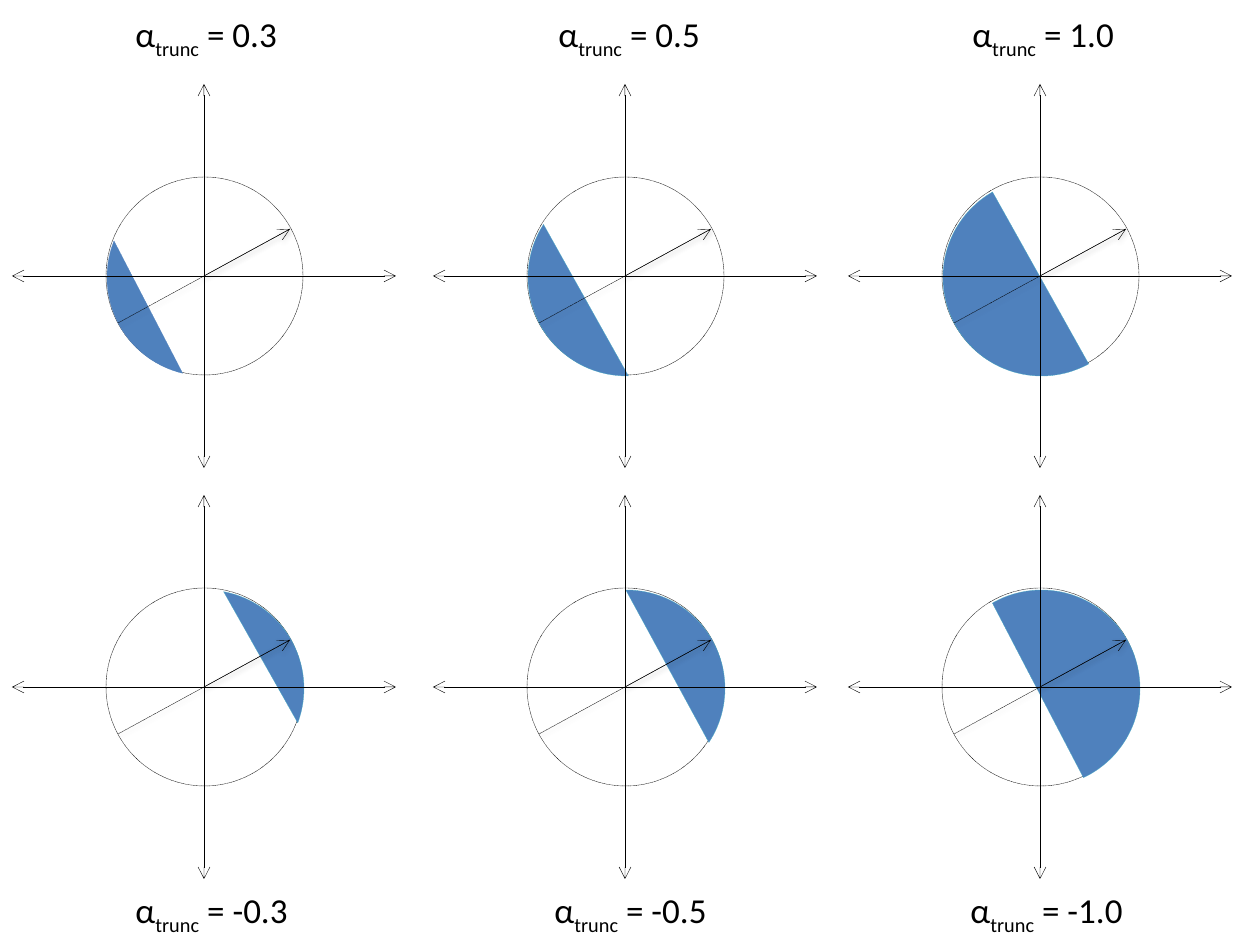
from lxml import etree
from pptx import Presentation
from pptx import util as u
from pptx.dml.color import RGBColor
from pptx.enum import dml, shapes, text
from pptx.oxml import ns

# Content: one row of plots per sign; chord angles are in degrees
CENTRES_X = (204, 625, 1040)
ROWS = (
    dict(cy=276, label_y=6, label_w=175, plots=(
        dict(value="0.3", label_x=123, chord=(103.44, 201.72), edge="fill"),
        dict(value="0.5", label_x=546, chord=(88.91, 212.58), edge="edge"),
        dict(value="1.0", label_x=960, chord=(61.38, 240.19), edge="edge"))),
    dict(cy=687, label_y=882, label_w=185, plots=(
        dict(value="-0.3", label_x=123, chord=(280.66, 20.38), edge="edge"),
        dict(value="-0.5", label_x=542, chord=(269.66, 33.2), edge="edge"),
        dict(value="-1.0", label_x=958, chord=(240.11, 64.8), edge="edge"))),
)
AXIS, DIAMETER = 192, 197
VECTOR = (86, -47)
THEME = dict(ink="000000", paper="FFFFFF", fill="4F81BD", edge="46AAC5",
             font="Calibri", size=20, line=0.25)


def px(n):
    return round(n * 914400 / 126)


def colour(name):
    return RGBColor.from_string(THEME[name])


def style_line(line, name="ink", dotted=True):
    line.color.rgb = colour(name)
    line.width = u.Pt(THEME["line"])
    if dotted:
        line.dash_style = dml.MSO_LINE.ROUND_DOT


def add_disc(kind, x, y, w, h, fill, edge):
    sp = s.shapes.add_shape(kind, px(x), px(y), px(w), px(h))
    sp.shadow.inherit = False
    sp.fill.solid()
    sp.fill.fore_color.rgb = colour(fill)
    style_line(sp.line, edge)
    return sp


def add_line(start, end, dotted=True, arrows=(), shadow=False):
    ln = s.shapes.add_connector(shapes.MSO_CONNECTOR.STRAIGHT,
                                *map(px, start + end))
    style_line(ln.line, dotted=dotted)
    for tag in arrows:
        etree.SubElement(ln.line._get_or_add_ln(), ns.qn(tag), type="arrow")
    effects = etree.SubElement(ln._element.spPr, ns.qn("a:effectLst"))
    if shadow:
        cast = etree.SubElement(effects, ns.qn("a:outerShdw"), blurRad="40000",
                                dist="20000", dir="5400000", rotWithShape="0")
        tint = etree.SubElement(cast, ns.qn("a:srgbClr"), val=THEME["ink"])
        etree.SubElement(tint, ns.qn("a:alpha"), val="38000")


def add_label(x, y, w, value):
    tf = s.shapes.add_textbox(px(x), px(y), px(w), px(55)).text_frame
    tf.word_wrap = False
    tf.auto_size = text.MSO_AUTO_SIZE.SHAPE_TO_FIT_TEXT
    p = tf.paragraphs[0]
    for words, baseline in (("α", 0), ("trunc", -25000), (f" = {value}", 0)):
        r = p.add_run()
        r.text = words
        for key, val in dict(name=THEME["font"], size=u.Pt(THEME["size"])).items():
            setattr(r.font, key, val)
        r.font.color.rgb = colour("ink")
        if baseline:
            r.font._element.set("baseline", str(baseline))


def add_plot(cx, cy, plot):
    # Unit circle and truncated segment
    add_disc(shapes.MSO_SHAPE.OVAL, cx - 98, cy - 99, DIAMETER, DIAMETER + 1,
             "paper", "ink")
    segment = add_disc(shapes.MSO_SHAPE.CHORD, cx - 97, cy - 97,
                       DIAMETER, DIAMETER, "fill", plot["edge"])
    for i, degrees in enumerate(plot["chord"]):
        segment.adjustments[i] = degrees * 0.6
    # Diameter and direction vector
    dx, dy = VECTOR
    tip = (cx + dx, cy + dy)
    add_line((cx - dx, cy - dy), tip, shadow=True)
    add_line((cx, cy), tip, dotted=False, arrows=("a:tailEnd",), shadow=True)
    # Axes
    for ax, ay in ((0, AXIS), (AXIS, 0)):
        add_line((cx - ax, cy - ay), (cx + ax, cy + ay),
                 arrows=("a:headEnd", "a:tailEnd"))


prs = Presentation()
prs.slide_width, prs.slide_height = px(1260), px(945)
s = prs.slides.add_slide(prs.slide_layouts[6])

for row in ROWS:
    for cx, plot in zip(CENTRES_X, row["plots"]):
        add_plot(cx, row["cy"], plot)
        add_label(plot["label_x"], row["label_y"], row["label_w"], plot["value"])

prs.save("out.pptx")
